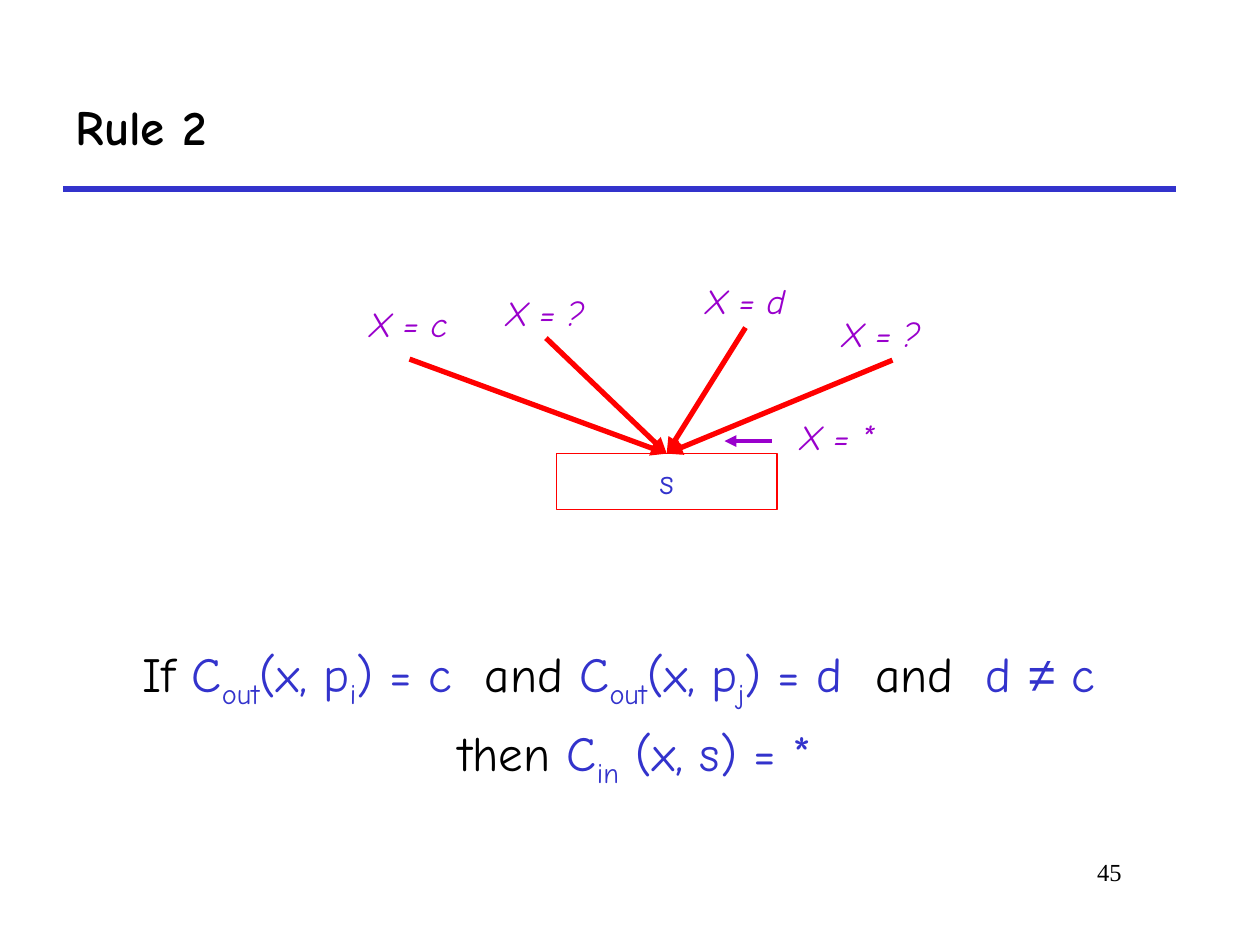
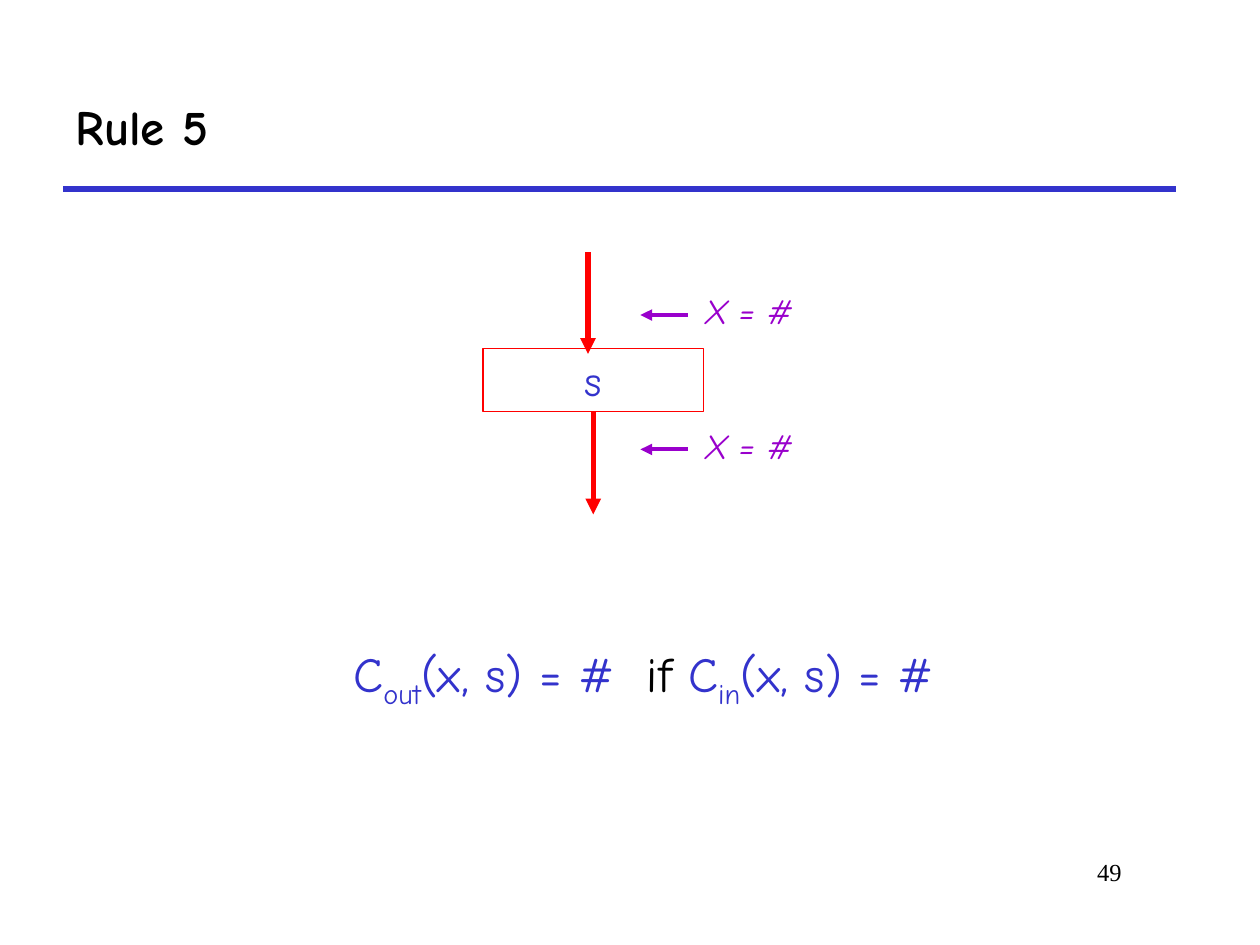
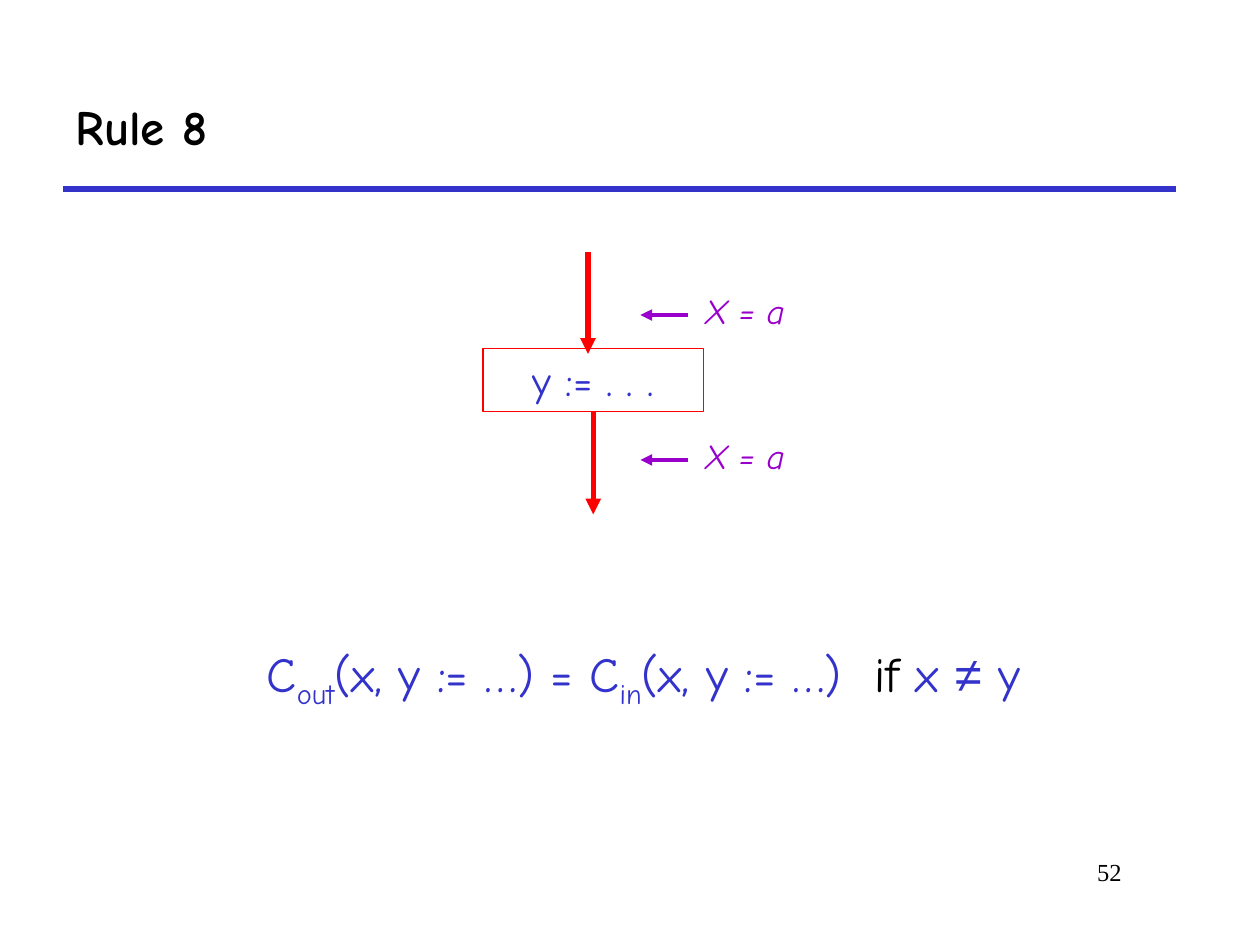
from dataclasses import dataclass
from typing import NamedTuple

from lxml.etree import SubElement
from pptx import Presentation
from pptx.dml.color import RGBColor
from pptx.enum.shapes import MSO_CONNECTOR as CONN, MSO_SHAPE as SHAPE
from pptx.enum.text import MSO_ANCHOR as ANCHOR, PP_ALIGN as ALIGN
from pptx.oxml.ns import qn
from pptx.util import Emu, Pt

PX = 7620  # EMU in one px, 120 px to the inch
COLORS = {"black": "000000", "blue": "3333CC", "red": "FF0000", "purple": "9900CC"}
COMIC, SERIF, SANS = "Comic Neue", "Times New Roman", "Arial"


@dataclass(frozen=True)
class Style:
    size: int
    color: str
    font: str = COMIC
    bold: bool = False
    italic: bool = False
    align: ALIGN = ALIGN.LEFT


class Box(NamedTuple):
    left: int
    top: int
    width: int
    height: int


class Point(NamedTuple):
    x: int
    y: int


class Part(NamedTuple):
    """One run of a formula."""
    text: str
    color: str = "blue"
    sub: bool = False
    font: str | None = None


class Label(NamedTuple):
    text: str
    left: int
    top: int


class Edge(NamedTuple):
    label: Label
    start: Point


TITLE = Style(28, "black", bold=True)
NUMBER = Style(14, "black", SERIF, align=ALIGN.RIGHT)
FORMULA = Style(28, "black", align=ALIGN.CENTER)
LABEL = Style(20, "purple", italic=True)
MERGE_NODE = Style(20, "blue", align=ALIGN.CENTER)
STEP_NODE = Style(24, "blue", align=ALIGN.CENTER)

TITLE_BOX = Box(60, 60, 1060, 120)
NUMBER_BOX = Box(830, 810, 250, 60)
FORMULA_BOX = Box(60, 607, 1090, 183)
MERGE_BOX = Box(530, 432, 210, 53)
STEP_BOX = Box(460, 332, 210, 60)
LABEL_HEIGHT = 53
POINTER_LENGTH, POINTER_DROP = 45, 30

OUT, IN = Part("out", sub=True), Part("in", sub=True)
NOT_EQUAL = Part("≠", font=SANS)


def rgb(color: str) -> RGBColor:
    return RGBColor.from_string(COLORS[color])


def emu(lengths) -> list[Emu]:
    return [Emu(n * PX) for n in lengths]


def format_paragraph(p, style: Style) -> None:
    p.alignment = style.align
    f = p.font
    f.name, f.size = style.font, Pt(style.size)
    f.bold, f.italic = style.bold, style.italic
    f.color.rgb = rgb(style.color)


def add_text(slide, box: Box, text: str, style: Style) -> None:
    tf = slide.shapes.add_textbox(*emu(box)).text_frame
    tf.word_wrap = True
    tf.text = text
    format_paragraph(tf.paragraphs[0], style)


def add_line(slide, start: Point, end: Point, color: str, width: float = 3, arrow: bool = True):
    s = slide.shapes.add_connector(CONN.STRAIGHT, *emu((*start, *end)))
    s.line.color.rgb = rgb(color)
    s.line.width = Pt(width)
    sp_pr = s.element.spPr
    if arrow:
        SubElement(sp_pr.find(qn("a:ln")), qn("a:tailEnd"), type="triangle")
    SubElement(sp_pr, qn("a:effectLst"))
    return s


def add_node(slide, box: Box, text: str, style: Style):
    s = slide.shapes.add_shape(SHAPE.RECTANGLE, *emu(box))
    s.shadow.inherit = False
    s.fill.background()
    s.line.color.rgb = rgb("red")
    s.line.width = Pt(0.75)
    tf = s.text_frame
    tf.vertical_anchor = ANCHOR.TOP
    tf.text = text
    format_paragraph(tf.paragraphs[0], style)
    return s


def add_label(slide, label: Label, width: int = 110) -> None:
    add_text(slide, Box(label.left, label.top, width, LABEL_HEIGHT), label.text, LABEL)


def add_pointed_label(slide, label: Label, gap: int, width: int) -> None:
    """Label with a short arrow to its left, pointing at a program point."""
    add_label(slide, label, width)
    x, y = label.left - gap, label.top + POINTER_DROP
    add_line(slide, Point(x, y), Point(x - POINTER_LENGTH, y), "purple", 2.25)


def add_formula(slide, lines: list[list[Part]]) -> None:
    tf = slide.shapes.add_textbox(*emu(FORMULA_BOX)).text_frame
    tf.word_wrap = True
    for i, parts in enumerate(lines):
        p = tf.add_paragraph() if i else tf.paragraphs[0]
        if i:
            p.space_before = Pt(7)
        format_paragraph(p, FORMULA)
        for part in parts:
            r = p.add_run()
            r.text = part.text
            r.font.color.rgb = rgb(part.color)
            if part.font:
                r.font.name = part.font
            if part.sub:
                r.font._element.set("baseline", "-25000") if hasattr(r.font, "_element") \
                    else r._r.get_or_add_rPr().set("baseline", "-25000")


def add_rule_slide(prs, rule: int, number: int):
    slide = prs.slides.add_slide(prs.slide_layouts[5])
    add_line(slide, Point(60, 180), Point(1120, 180), "blue", arrow=False)
    add_text(slide, NUMBER_BOX, str(number), NUMBER)
    title = slide.shapes.title
    title.left, title.top, title.width, title.height = emu(TITLE_BOX)
    tf = title.text_frame
    tf.vertical_anchor = ANCHOR.MIDDLE
    tf.text = f"Rule {rule}"
    format_paragraph(tf.paragraphs[0], TITLE)
    return slide


def add_merge(slide, edges: list[Edge], result: Label) -> None:
    """Several incoming edges that meet at the top of one statement."""
    node = add_node(slide, MERGE_BOX, "s", MERGE_NODE)
    meet = Point(MERGE_BOX.left + MERGE_BOX.width // 2, MERGE_BOX.top)
    for edge in edges:
        add_line(slide, edge.start, meet, "red").end_connect(node, 0)
        add_label(slide, edge.label)
    add_pointed_label(slide, result, 15, 110)


def add_step(slide, statement: str, value: str, after_top: int) -> None:
    """One statement with the same value before and after it."""
    node = add_node(slide, STEP_BOX, statement, STEP_NODE)
    bottom = Point(STEP_BOX.left + STEP_BOX.width // 2, STEP_BOX.top + STEP_BOX.height)
    add_line(slide, bottom, Point(bottom.x, 490), "red").begin_connect(node, 2)
    add_line(slide, Point(560, 240), Point(560, 337), "red")
    for top in (270, after_top):
        add_pointed_label(slide, Label(value, 660, top), 5, 160)


def main() -> None:
    prs = Presentation()
    prs.slide_width, prs.slide_height = emu((1200, 900))

    s = add_rule_slide(prs, 2, 45)
    add_merge(s, [
        Edge(Label("X = c", 340, 282), Point(390, 342)),
        Edge(Label("X = ?", 470, 272), Point(520, 322)),
        Edge(Label("X = d", 660, 260), Point(710, 312)),
        Edge(Label("X = ?", 790, 292), Point(850, 343)),
    ], Label("X = *", 750, 390))
    add_formula(s, [
        [Part("If", "black"), Part(" C"), OUT, Part("(x, p"), Part("i", sub=True),
         Part(") = c  "), Part("and", "black"), Part(" C"), OUT, Part("(x, p"),
         Part("j", sub=True), Part(") = d  "), Part("and", "black"), Part("  d "),
         NOT_EQUAL, Part(" c  ")],
        [Part("then ", "black"), Part("C"), IN, Part(" (x, s) = *")],
    ])

    s = add_rule_slide(prs, 5, 49)
    add_step(s, "s", "X = #", 398)
    add_formula(s, [[Part(" C"), OUT, Part("(x, s) = # "), Part(" if ", "black"),
                     Part("C"), IN, Part("(x, s) = #")]])

    s = add_rule_slide(prs, 8, 52)
    add_step(s, "y := . . .", "X = a", 408)
    add_formula(s, [[Part(" C"), OUT, Part("(x, y := …) = C"), IN, Part("(x, y := …)  "),
                     Part("if", "black"), Part(" x "), NOT_EQUAL, Part(" y")]])

    prs.save("out.pptx")


if __name__ == "__main__":
    main()
